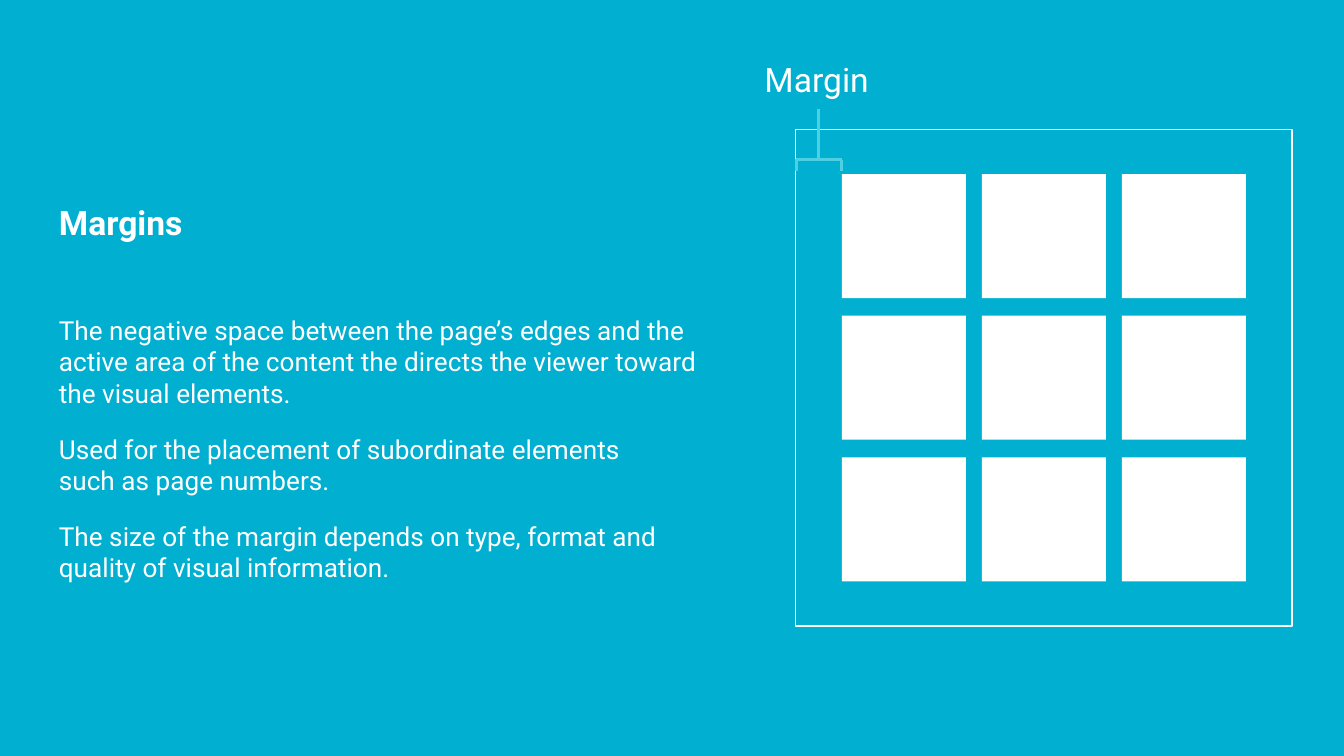
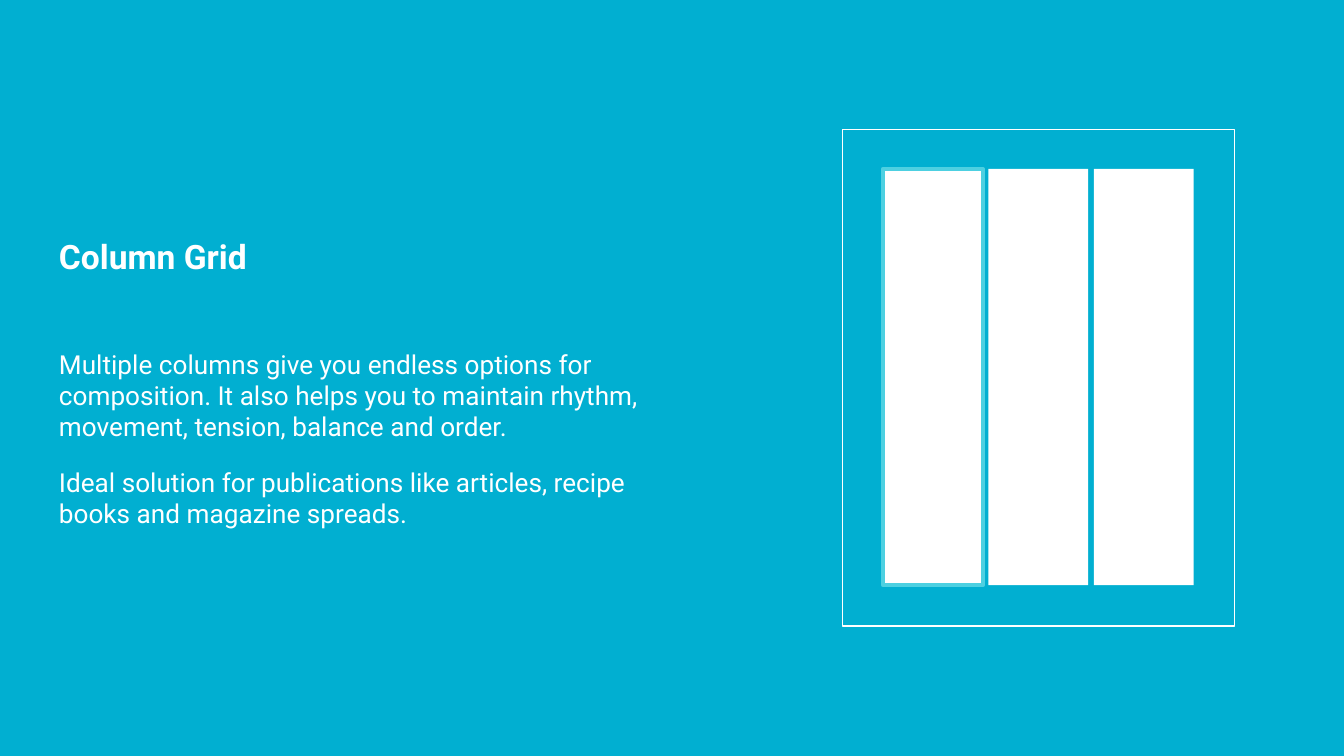
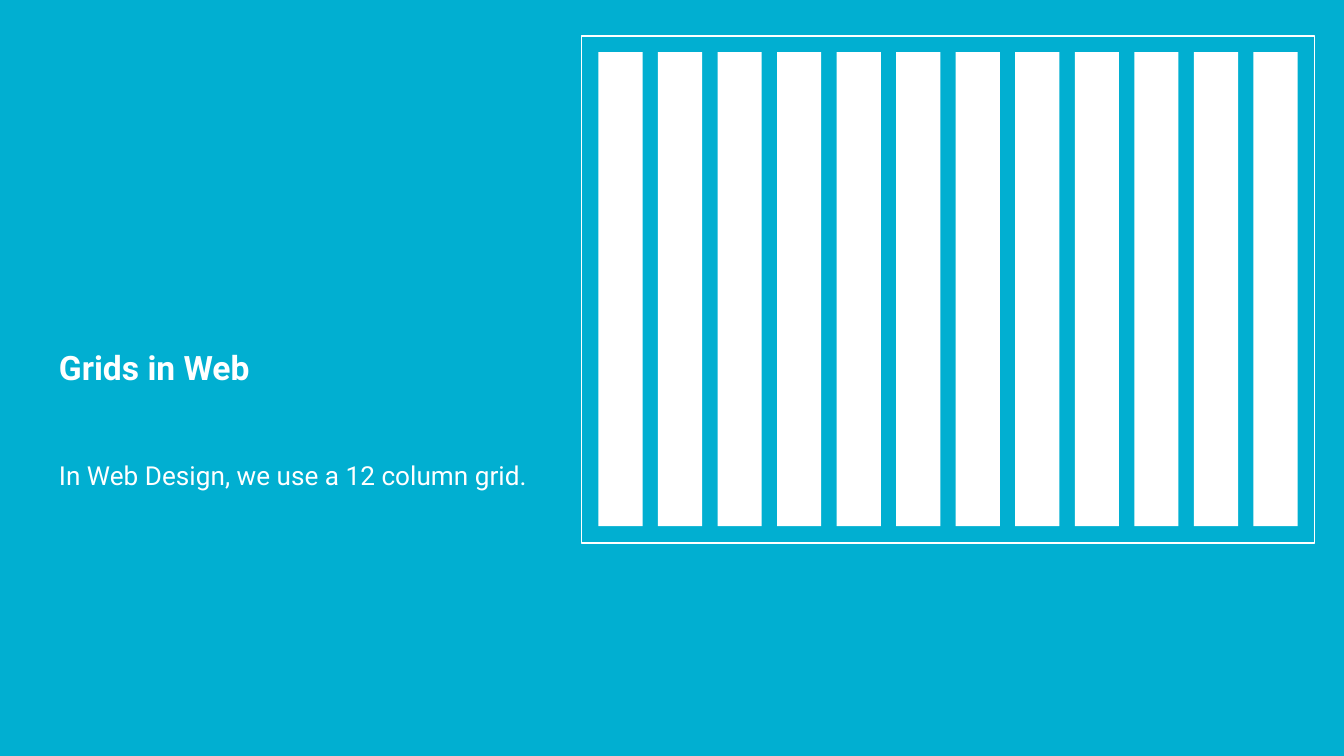
"""Build three slides about margins and grids."""
from lxml import etree
from pptx import Presentation
from pptx.dml.color import RGBColor
from pptx.enum.shapes import MSO_CONNECTOR, MSO_SHAPE
from pptx.enum.text import PP_ALIGN
from pptx.oxml.ns import qn
from pptx.util import Pt

RECTANGLE = MSO_SHAPE.RECTANGLE
STRAIGHT = MSO_CONNECTOR.STRAIGHT
LEFT, CENTER = PP_ALIGN.LEFT, PP_ALIGN.CENTER

FONT = "Roboto"
SEA, WHITE, AQUA = "01AFD1", "FFFFFF", "4DD0E1"
TEXT_LEFT = 24.5
TITLE_HEIGHT = 48
BODY_DROP = 60.25

SLIDES = [
    {
        "title": "Margins",
        "title_top": 101,
        "title_width": 345,
        "body": [
            "The negative space between the page’s edges and the active area of the content "
            "the directs the viewer toward the visual elements.",
            "Used for the placement of subordinate elements\nsuch as page numbers.",
            "The size of the margin depends on type, format and quality of visual information.",
        ],
        "body_size": (376, 159),
        "frame": (426.25, 69.5, 266, 266),
        "grid": {"start": (451, 93.25), "cell": (66.5, 66.5), "step": (75, 75.9),
                 "columns": 3, "rows": 3},
        "label": ("Margin", (391.75, 24.5, 91.5, TITLE_HEIGHT)),
        "bracket": [
            (426.25, 85.5, 451, 85.5),
            (426.75, 85, 426.75, 91.5),
            (450.75, 85.5, 450.75, 91.5),
            (438.5, 86, 438.5, 58.5),
        ],
    },
    {
        "title": "Column Grid",
        "title_top": 119,
        "title_width": 327,
        "body": [
            "Multiple columns give you endless options for composition. It also helps you to "
            "maintain rhythm, movement, tension, balance and order.",
            "Ideal solution for publications like articles, recipe books and magazine spreads.",
        ],
        "body_size": (356.5, 120),
        "frame": (451.25, 69.5, 210, 266),
        "grid": {"start": (473, 90.5), "cell": (53.5, 223), "step": (56.5, 0),
                 "columns": 3, "rows": 1, "outlined": 0},
    },
    {
        "title": "Grids in Web",
        "title_top": 178.75,
        "title_width": 325.5,
        "body": ["In Web Design, we use a 12 column grid."],
        "body_size": (356.5, 120),
        "frame": (311.5, 19.25, 392.75, 271.75),
        "grid": {"start": (320.6, 27.9), "cell": (23.7, 254), "step": (31.9, 0),
                 "columns": 12, "rows": 1},
    },
]


def color(value):
    return RGBColor.from_string(value)


def points(values):
    return [Pt(value) for value in values]


def add_text(page, paragraphs, place, size=14, bold=False, align=LEFT, gap=13):
    box = page.shapes.add_textbox(*points(place))
    frame = box.text_frame
    frame.word_wrap = True
    frame.margin_left = frame.margin_right = Pt(7.2)
    frame.margin_top = frame.margin_bottom = Pt(7.2)
    for index, text in enumerate(paragraphs):
        para = frame.add_paragraph() if index else frame.paragraphs[0]
        para.text = text
        para.alignment = align
        para.space_before = Pt(gap if index else 0)
        for line_break in para._p.findall(qn("a:br")):
            etree.SubElement(line_break, qn("a:rPr"), sz=str(size * 100))
        for span in para.runs:
            span.font.name = FONT
            span.font.size = Pt(size)
            span.font.bold = bold
            span.font.color.rgb = color(WHITE)


def add_box(page, place, fill=None, line=None, weight=0.75):
    box = page.shapes.add_shape(RECTANGLE, *points(place))
    box.shadow.inherit = False
    if fill:
        box.fill.solid()
        box.fill.fore_color.rgb = color(fill)
    else:
        box.fill.background()
    if line:
        box.line.color.rgb = color(line)
        box.line.width = Pt(weight)
    else:
        box.line.fill.background()


def add_line(page, ends):
    line = page.shapes.add_connector(STRAIGHT, *points(ends))
    line.line.color.rgb = color(AQUA)
    line.line.width = Pt(1.5)
    etree.SubElement(line._element.spPr, qn("a:effectLst"))


def add_grid(page, start, cell, step, columns, rows, outlined=None):
    for row in range(rows):
        for column in range(columns):
            left = start[0] + column * step[0]
            top = start[1] + row * step[1]
            edge = AQUA if column == outlined else None
            add_box(page, (left, top, *cell), fill=WHITE, line=edge, weight=2.25)


def add_page(deck, content):
    page = deck.slides.add_slide(deck.slide_layouts[6])
    top = content["title_top"]
    add_box(page, content["frame"], line=WHITE)
    add_text(page, content["body"], (TEXT_LEFT, top + BODY_DROP, *content["body_size"]))
    add_text(page, [content["title"]],
             (TEXT_LEFT, top, content["title_width"], TITLE_HEIGHT), size=18, bold=True)
    add_grid(page, **content["grid"])
    if "label" in content:
        text, place = content["label"]
        add_text(page, [text], place, size=18, align=CENTER)
    for ends in content.get("bracket", []):
        add_line(page, ends)


def main():
    deck = Presentation()
    deck.slide_width, deck.slide_height = Pt(720), Pt(405)
    background = deck.slide_master.background.fill
    background.solid()
    background.fore_color.rgb = color(SEA)
    for content in SLIDES:
        add_page(deck, content)
    deck.save("out.pptx")


if __name__ == "__main__":
    main()
